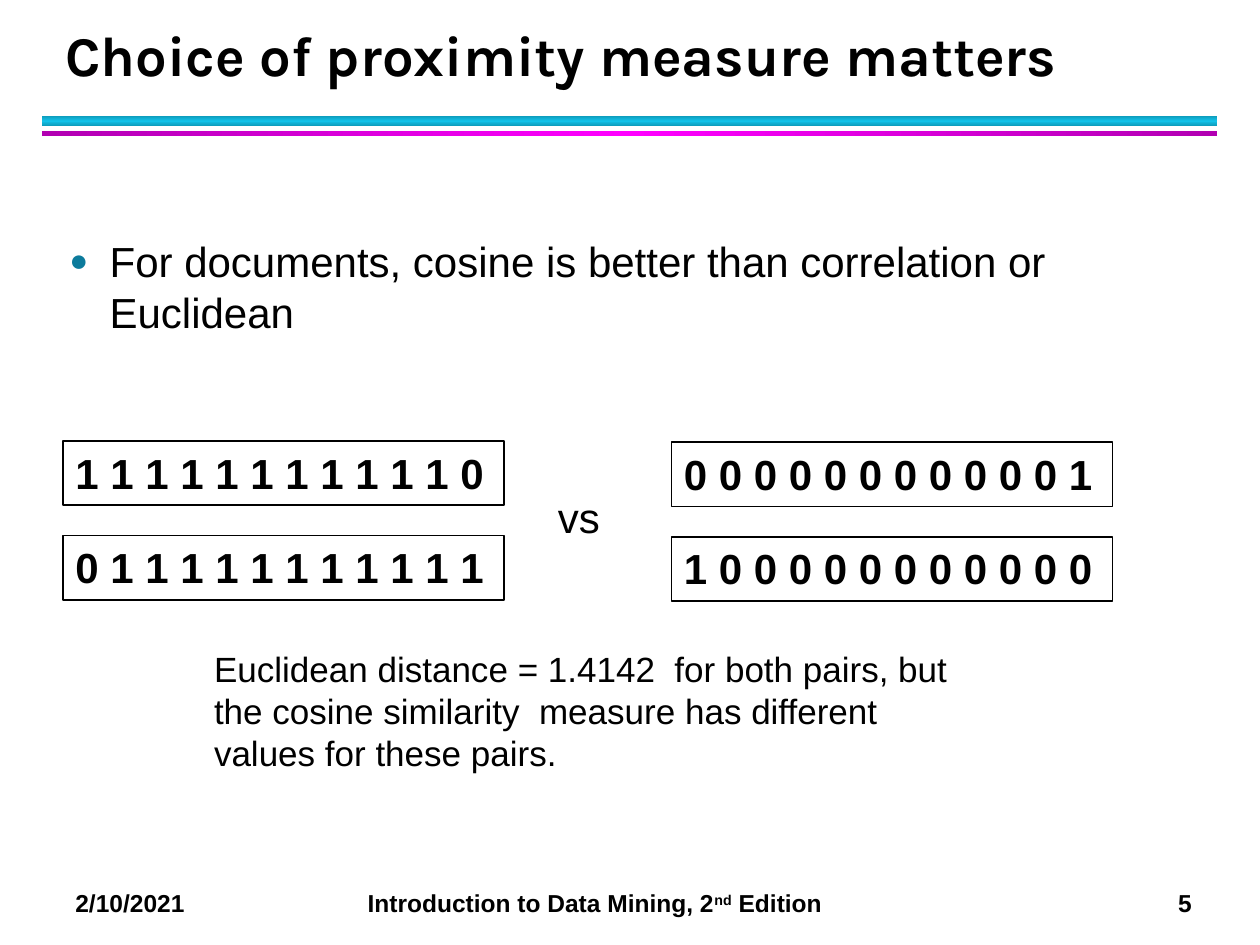
from copy import deepcopy
from typing import NamedTuple

from lxml.etree import SubElement
from pptx import Presentation
from pptx.dml.color import RGBColor
from pptx.enum.shapes import MSO_SHAPE
from pptx.enum.text import MSO_ANCHOR, MSO_AUTO_SIZE, PP_ALIGN
from pptx.oxml.ns import qn
from pptx.util import Inches, Pt


class Box(NamedTuple):
    left: float
    top: float
    width: float
    height: float


class Bar(NamedTuple):
    box: Box
    edge: str
    mid: str
    angle: int


class Vector(NamedTuple):
    box: Box
    bits: str


BLACK = "000000"
WIDE, TALL, STEP = 3.5, 0.51, 0.75
BARS = [
    Bar(Box(0.33, 0.92, 9.33, 0.08), "0E9BBA", "12C2E9", 90),
    Bar(Box(0.33, 1.04, 9.33, 0.04), "B200B2", "FF00FF", 0),
]
PAIRS = [
    (0.5, 3.5, ["1 1 1 1 1 1 1 1 1 1 1 0", "0 1 1 1 1 1 1 1 1 1 1 1"]),
    (5.33, 3.51, ["0 0 0 0 0 0 0 0 0 0 0 1", "1 0 0 0 0 0 0 0 0 0 0 0"]),
]
VECTORS = [
    Vector(Box(left, top + row * STEP, WIDE, TALL), bits)
    for left, top, rows in PAIRS
    for row, bits in enumerate(rows)
]


def color(code: str) -> RGBColor:
    return RGBColor.from_string(code)


def place(box: Box) -> list:
    return [Inches(v) for v in box]


def move(shape, box: Box) -> None:
    shape.left, shape.top, shape.width, shape.height = place(box)


def add_run(para, text: str, size: float, bold: bool = False, face: str = "Arial"):
    run = para.add_run()
    run.text = text
    font = run.font
    font.size, font.bold, font.name = Pt(size), bold, face
    font.color.rgb = color(BLACK)
    return run


def add_rect(slide, box: Box):
    shape = slide.shapes.add_shape(MSO_SHAPE.RECTANGLE, *place(box))
    shape.shadow.inherit = False
    return shape


def add_bar(slide, bar: Bar) -> None:
    """Draw a rule whose gradient runs edge, middle, edge."""
    shape = add_rect(slide, bar.box)
    shape.line.fill.background()
    fill = shape.fill
    fill.gradient()
    fill.gradient_angle = bar.angle
    stops = shape._element.spPr.find(qn("a:gradFill")).find(qn("a:gsLst"))
    stops.insert(1, deepcopy(stops[0]))
    shades = zip(fill.gradient_stops, (0, 0.5, 1), (bar.edge, bar.mid, bar.edge))
    for stop, spot, code in shades:
        stop.position = spot
        stop.color.rgb = color(code)


def add_vector(slide, vector: Vector) -> None:
    shape = add_rect(slide, vector.box)
    shape.fill.background()
    shape.line.color.rgb = color(BLACK)
    shape.line.width = Pt(1)
    frame = shape.text_frame
    frame.word_wrap = True
    frame.vertical_anchor = MSO_ANCHOR.TOP
    para = frame.paragraphs[0]
    para.alignment = PP_ALIGN.LEFT
    add_run(para, vector.bits, 24, True)


def add_text(slide, box: Box):
    """Add a wrapping text box and return its first paragraph."""
    frame = slide.shapes.add_textbox(*place(box)).text_frame
    frame.word_wrap = True
    return frame.paragraphs[0]


def set_title(slide) -> None:
    title = slide.shapes.title
    move(title, Box(0.42, 0.17, 9.06, 0.58))
    frame = title.text_frame
    frame.auto_size = MSO_AUTO_SIZE.NONE
    frame.vertical_anchor = MSO_ANCHOR.BOTTOM
    para = frame.paragraphs[0]
    para.alignment = PP_ALIGN.LEFT
    para.line_spacing = Pt(36)
    add_run(para, "Choice of proximity measure matters", 32, True, "Karla")


def set_body(slide) -> None:
    body = slide.placeholders[1]
    move(body, Box(0.45, 1.25, 9.1, 5.67))
    frame = body.text_frame
    frame.auto_size = MSO_AUTO_SIZE.NONE
    frame.margin_top = Inches(0.62)
    para = frame.paragraphs[0]
    para.space_before, para.space_after = Pt(0), Pt(4)
    props = para._p.get_or_add_pPr()
    props.set("marL", str(Inches(0.32)))
    props.set("indent", str(-Inches(0.32)))
    tint = SubElement(props, qn("a:buClr"))
    SubElement(tint, qn("a:srgbClr"), val="0C7B9C")
    SubElement(props, qn("a:buSzPct"), val="75000")
    SubElement(props, qn("a:buFont"), typeface="Arial")
    SubElement(props, qn("a:buChar"), char="●")
    text = "For documents, cosine is better than correlation or Euclidean"
    add_run(para, text, 24)


def add_footer(slide) -> None:
    """Set date, book and page on one line with tab stops."""
    para = add_text(slide, Box(0.5, 7, 9.33, 0.34))
    tabs = SubElement(para._p.get_or_add_pPr(), qn("a:tabLst"))
    for spot, side in ((2.32, "l"), (8.86, "r")):
        SubElement(tabs, qn("a:tab"), pos=str(Inches(spot)), algn=side)
    add_run(para, "2/10/2021\tIntroduction to Data Mining, 2", 14, True)
    raised = add_run(para, "nd", 14, True)
    raised._r.get_or_add_rPr().set("baseline", "30000")
    add_run(para, " Edition\t5", 14, True)


def main() -> None:
    deck = Presentation()
    deck.slide_width, deck.slide_height = Inches(10), Inches(7.5)
    slide = deck.slides.add_slide(deck.slide_layouts[1])
    for bar in BARS:
        add_bar(slide, bar)
    add_footer(slide)
    set_title(slide)
    set_body(slide)
    for vector in VECTORS:
        add_vector(slide, vector)
    add_run(add_text(slide, Box(4.33, 3.85, 0.61, 0.67)), "vs", 24)
    note = add_text(slide, Box(1.6, 5.09, 6.08, 1.11))
    add_run(
        note,
        "Euclidean distance = 1.4142  for both pairs, but the cosine similarity"
        "  measure has different values for these pairs.",
        20,
    )
    deck.save("out.pptx")


if __name__ == "__main__":
    main()
